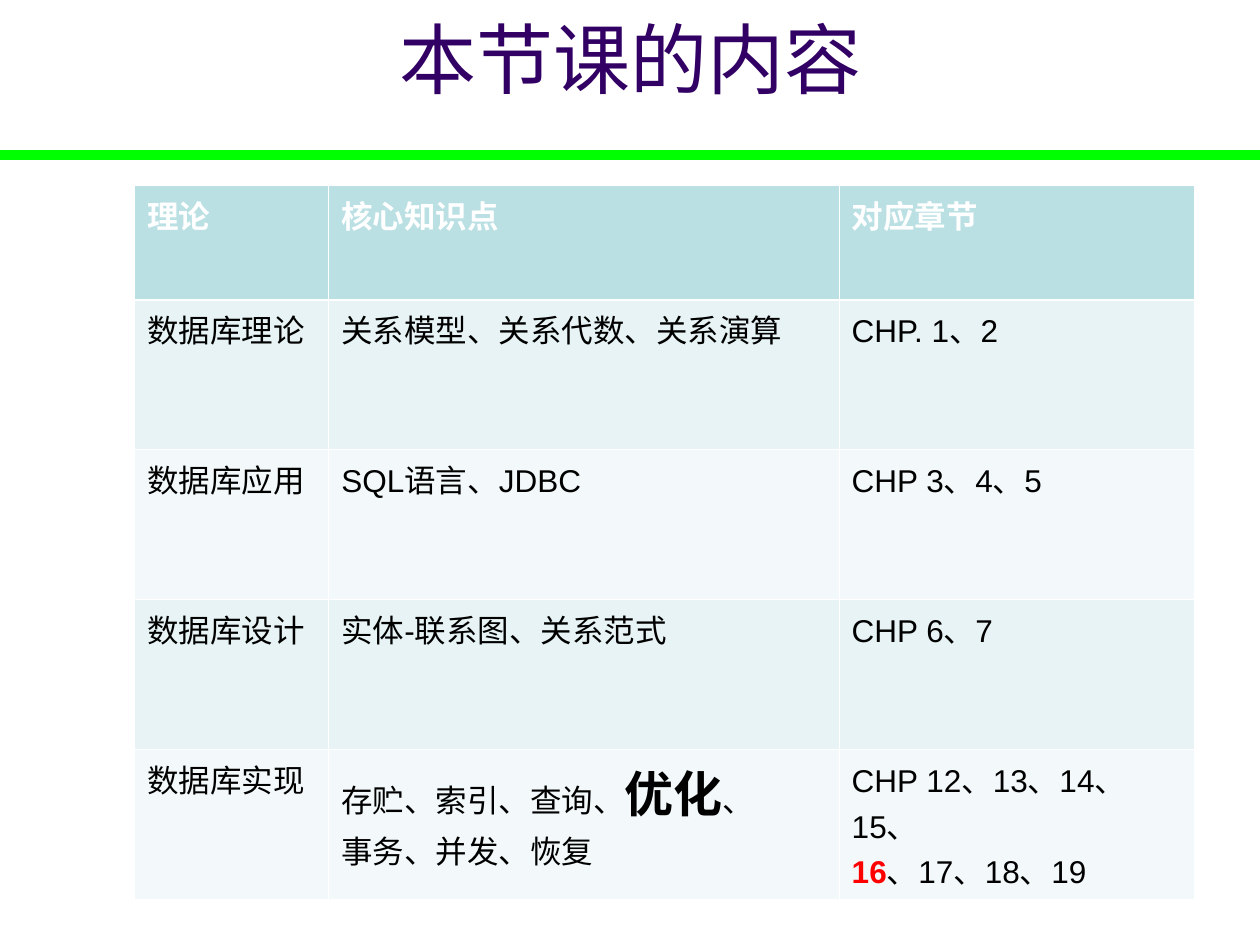
from lxml import etree
from pptx import Presentation
from pptx.dml.color import RGBColor
from pptx.enum import shapes, text
from pptx.oxml import ns
from pptx.util import Inches, Pt

HUES = {"title": "320064", "rule": "00FF00", "head": "BBE0E3", "odd": "E7F3F4",
        "even": "F3F9FA", "white": "FFFFFF", "black": "000000", "red": "FF0000"}
TITLE = "本节课的内容"
HEAD = ["理论", "核心知识点", "对应章节"]
BIG = {"size": 28, "bold": True}
HOT = {"hue": "red", "bold": True}
ROWS = [
    ["数据库理论", "关系模型、关系代数、关系演算", "CHP. 1、2"],
    ["数据库应用", "SQL语言、JDBC", "CHP 3、4、5"],
    ["数据库设计", "实体-联系图、关系范式", "CHP 6、7"],
    ["数据库实现",
     [["存贮、索引、查询、", ("优化", BIG), "、"], ["事务、并发、恢复"]],
     [["CHP 12、13、14、15、"], [("16", HOT), "、17、18、19"]]],
]
COLS = [1.54, 4.05, 2.82]
TALL = [0.91] + [1.19] * len(ROWS)


def color(name):
    return RGBColor.from_string(HUES[name])


def write(frame, body, size=18, hue="black", bold=False, align=text.PP_ALIGN.LEFT):
    lines = [[body]] if isinstance(body, str) else body
    for i, line in enumerate(lines):
        para = frame.paragraphs[0] if i == 0 else frame.add_paragraph()
        para.alignment = align
        for part in line:
            words, extra = (part, {}) if isinstance(part, str) else part
            look = {"size": size, "hue": hue, "bold": bold, **extra}
            run = para.add_run()
            run.text = words
            run.font.name = "Arial"
            run.font.size = Pt(look["size"])
            run.font.bold = look["bold"]
            run.font.color.rgb = color(look["hue"])


def edge(cell, **widths):
    props = cell._tc.get_or_add_tcPr()
    for i, (side, width) in enumerate(widths.items()):
        line = etree.Element(ns.qn("a:ln" + side), w=str(Pt(width)))
        fill = etree.SubElement(line, ns.qn("a:solidFill"))
        etree.SubElement(fill, ns.qn("a:srgbClr"), val=HUES["white"])
        props.insert(i, line)


deck = Presentation()
deck.slide_width, deck.slide_height = Inches(10), Inches(7.5)
slide = deck.slides.add_slide(deck.slide_layouts[6])

rule = slide.shapes.add_connector(shapes.MSO_CONNECTOR.STRAIGHT,
                                  0, Inches(1.23), Inches(10), Inches(1.23))
rule.line.color.rgb = color("rule")
rule.line.width = Pt(6.25)
etree.SubElement(rule._element.spPr, ns.qn("a:effectLst"))

box = slide.shapes.add_textbox(Inches(0.69), 0, Inches(8.63), Inches(0.92))
box.text_frame.word_wrap = True
box.text_frame.vertical_anchor = text.MSO_ANCHOR.MIDDLE
write(box.text_frame, TITLE, size=44, hue="title", align=text.PP_ALIGN.CENTER)

table = slide.shapes.add_table(len(TALL), len(COLS), Inches(1.07), Inches(1.47),
                               Inches(sum(COLS)), Inches(sum(TALL))).table
for col, wide in zip(table.columns, COLS):
    col.width = Inches(wide)
for r, row in enumerate([HEAD] + ROWS):
    table.rows[r].height = Inches(TALL[r])
    top = r == 0
    for c, body in enumerate(row):
        cell = table.cell(r, c)
        cell.fill.solid()
        cell.fill.fore_color.rgb = color("head" if top else "odd" if r % 2 else "even")
        edge(cell, L=0.45, R=0.45, T=1.47 if r == 1 else 0.45, B=1.47 if top else 0.45)
        write(cell.text_frame, body, hue="white" if top else "black", bold=top)

deck.save("out.pptx")
